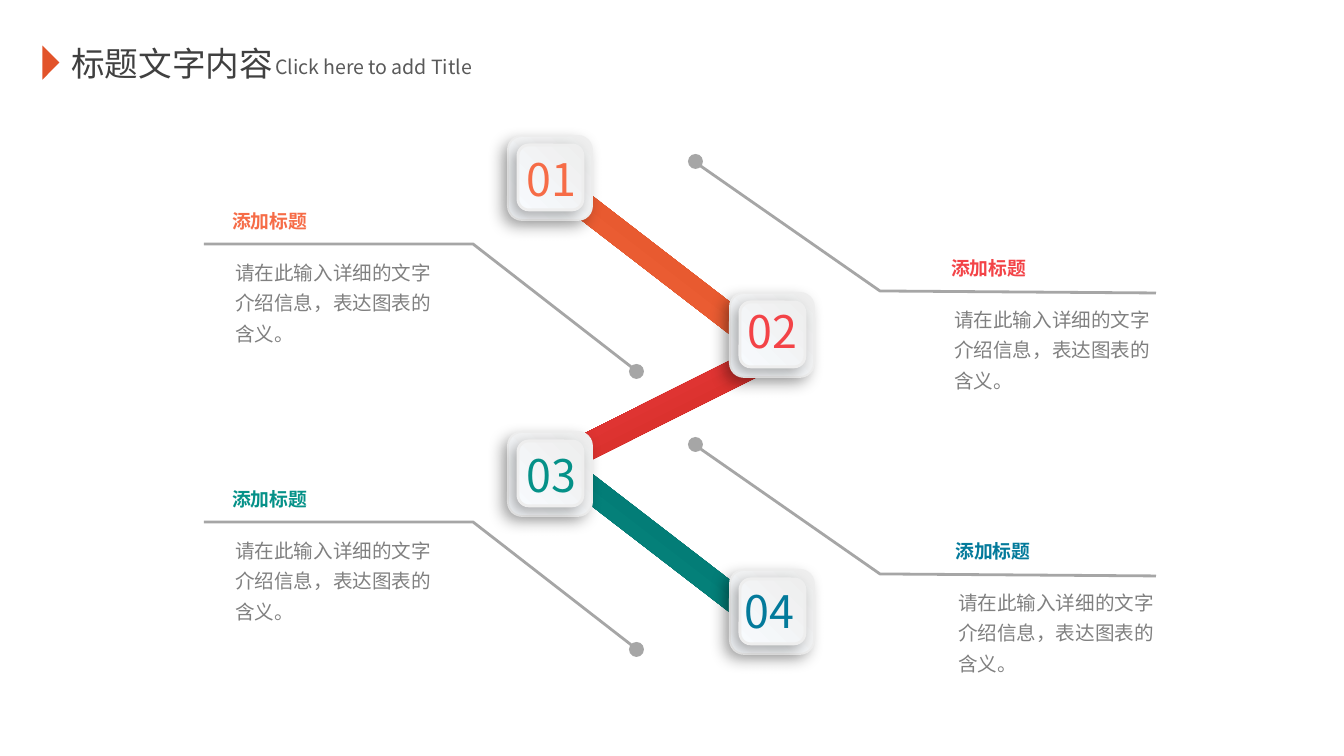
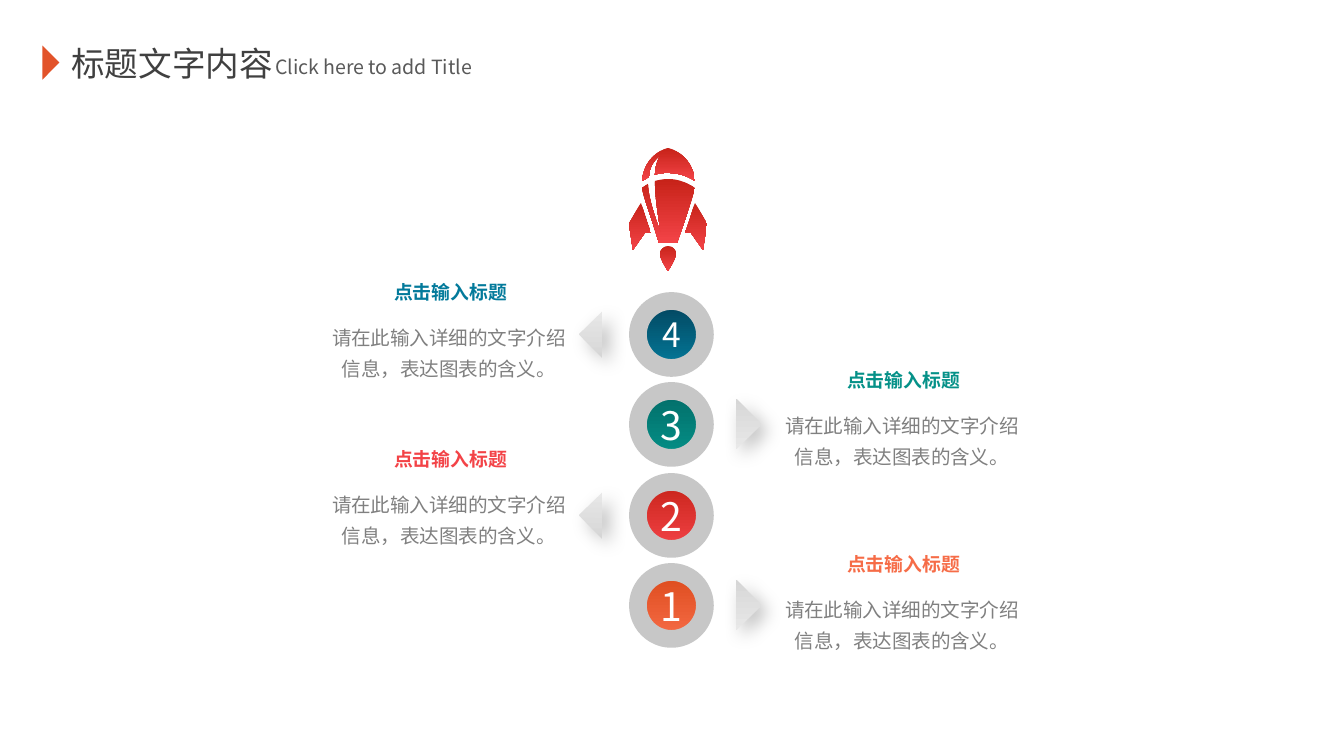
from lxml.etree import SubElement
from pptx import Presentation
from pptx.dml.color import RGBColor
from pptx.enum.shapes import MSO_SHAPE as Preset
from pptx.enum.text import MSO_ANCHOR as Anchor, MSO_AUTO_SIZE as AutoSize, PP_ALIGN as Align
from pptx.oxml.ns import qn
from pptx.util import Pt

PX = 914400 / 134.4
FONT = "Noto Sans CJK SC"

ACCENT = RGBColor(0xE2, 0x53, 0x2A)
TITLE_GREY = RGBColor(0x40, 0x40, 0x40)
SUBTITLE_GREY = RGBColor(0x59, 0x59, 0x59)
BODY_GREY = RGBColor(0x80, 0x80, 0x80)
LEADER_GREY = RGBColor(0xA6, 0xA6, 0xA6)
RING_GREY = RGBColor(0xC7, 0xC7, 0xC7)
TILE_EDGE = RGBColor(0xEE, 0xEE, 0xEE)
WHITE = RGBColor(0xFF, 0xFF, 0xFF)
ORANGE = RGBColor(0xF6, 0x6C, 0x47)
RED = RGBColor(0xF3, 0x43, 0x47)
TEAL = RGBColor(0x05, 0x91, 0x88)
BLUE = RGBColor(0x03, 0x7A, 0x9B)
ORANGE_FADE = (RGBColor(0xDC, 0x4A, 0x1B), ORANGE)
RED_FADE = (RGBColor(0xC7, 0x23, 0x19), RED)
TEAL_FADE = (RGBColor(0x02, 0x6C, 0x68), TEAL)
BLUE_FADE = (RGBColor(0x03, 0x43, 0x5C), BLUE)
TILE_FADE = (TILE_EDGE, RGBColor(0xF7, 0xFA, 0xFD))
POINTER_FADE = (RGBColor(0xE8, 0xE8, 0xE8), RGBColor(0xD6, 0xD6, 0xD6))

DETAIL = "请在此输入详细的文字介绍信息，表达图表的含义。"
HEADING = {"size": Pt(10.1), "bold": True}
BODY = {"size": Pt(10.5)}

FIN = [(0, 76), (4, 102), (16, 85), (22, 85), (17, 72, 15, 63, 12, 55)]
FLAME = [(39, 98), (35, 98, 31, 102, 31, 106), (31, 111, 39, 123, 39, 123),
         (39, 123, 47, 111, 47, 106), (47, 102, 44, 98, 39, 98)]
HULL = [(39, 31), (35, 31, 30, 32, 26, 33), (26, 51, 30, 72, 32, 87),
        (30, 78, 20, 56, 19, 36), (17, 37, 15, 39, 13, 40),
        (15, 51, 23, 71, 30, 95), (48, 95), (55, 76, 63, 51, 66, 40),
        (58, 35, 50, 31, 39, 31)]
NOSE = [(31, 8), (28, 13, 26, 20, 26, 27), (30, 25, 35, 25, 39, 25),
        (50, 25, 58, 28, 66, 33), (63, 5, 39, 0, 39, 0), (39, 0, 16, 5, 13, 33),
        (15, 32, 17, 31, 20, 29), (20, 21, 24, 13, 31, 8)]


def emu(*pixels):
    """Turn pixel lengths into EMU."""
    return [round(value * PX) for value in pixels]


def apply(target, values):
    """Set each attribute in the dict on the target."""
    for name, value in values.items():
        setattr(target, name, value)


def paint(shape, fill=None, angle=90, line=None, width=1):
    """Give a shape a solid, two-colour or empty fill, and its outline."""
    shape.shadow.inherit = False
    if fill is None:
        shape.fill.background()
    elif isinstance(fill, RGBColor):
        shape.fill.solid()
        shape.fill.fore_color.rgb = fill
    else:
        shape.fill.gradient()
        shape.fill.gradient_angle = 360 - angle
        for stop, color, position in zip(shape.fill.gradient_stops, fill, (0, 1)):
            stop.color.rgb = color
            stop.position = position
    if line is None:
        shape.line.fill.background()
    else:
        shape.line.color.rgb = line
        shape.line.width = Pt(width)


def cast_shadow(shape, opacity, blur, distance, direction):
    """Add a soft black outer shadow."""
    effects = shape._element.spPr.find(qn("a:effectLst"))
    outer = SubElement(effects, qn("a:outerShdw"), {
        "blurRad": str(Pt(blur)), "dist": str(Pt(distance)),
        "dir": str(direction * 60000), "algn": "ctr", "rotWithShape": "0"})
    black = SubElement(outer, qn("a:srgbClr"), {"val": "000000"})
    SubElement(black, qn("a:alpha"), {"val": str(opacity * 1000)})


def add_preset(shapes, preset, box, rotation=0, **look):
    """Add a painted preset shape in a pixel box."""
    shape = shapes.add_shape(preset, *emu(*box))
    shape.rotation = rotation
    paint(shape, **look)
    return shape


def write(frame, text, color, font, paragraph=None, **layout):
    """Fill a text frame with one formatted paragraph."""
    apply(frame, {"word_wrap": True, **layout})
    line = frame.paragraphs[0]
    apply(line, paragraph or {})
    run = line.add_run()
    run.text = text
    apply(run.font, {"name": FONT, **font})
    run.font.color.rgb = color
    SubElement(run._r.get_or_add_rPr(), qn("a:ea"), {"typeface": FONT})


def add_text(shapes, box, text, color, font, paragraph=None, **layout):
    """Add a text box that grows with its text."""
    frame = shapes.add_textbox(*emu(*box)).text_frame
    write(frame, text, color, font, paragraph,
          **{"auto_size": AutoSize.SHAPE_TO_FIT_TEXT, **layout})


def add_outline(shapes, left, top, steps, closed, **look):
    """Draw lines (x, y) and cubic curves (six numbers) as one outline."""
    ends = [step[-2:] for step in steps]
    builder = shapes.build_freeform(*ends[0], scale=PX)
    builder.add_line_segments(ends[1:], close=False)
    outline = builder.convert_to_shape(*emu(left, top))
    min_x, min_y = (min(values) for values in zip(*ends))
    drawn = next(outline._element.iter(qn("a:path")))
    for segment, step in zip(list(drawn), steps):
        if len(step) == 6:
            curve = SubElement(drawn, qn("a:cubicBezTo"))
            for x, y in zip(step[::2], step[1::2]):
                SubElement(curve, qn("a:pt"), {"x": str(x - min_x), "y": str(y - min_y)})
            drawn.replace(segment, curve)
    if closed:
        SubElement(drawn, qn("a:close"))
    paint(outline, **look)


def add_title(slide, left, top):
    """Place the page title with its marker and subtitle."""
    shapes = slide.shapes.add_group_shape().shapes
    add_text(shapes, (left + 23, top, 241, 54), "标题文字内容 ", TITLE_GREY,
             {"size": Pt(18)}, word_wrap=False)
    add_preset(shapes, Preset.ISOSCELES_TRIANGLE, (left - 1, top + 18, 34, 17), 90, fill=ACCENT)
    add_text(shapes, (left + 227, top + 12, 228, 38), "Click here to add Title",
             SUBTITLE_GREY, {"size": Pt(10.5)}, word_wrap=False)


def add_bar(slide, center_x, center_y, length, thickness, rotation, fade):
    """Place a slanted bar between two tiles."""
    box = (center_x - length / 2, center_y - thickness / 2, length, thickness)
    add_preset(slide.shapes, Preset.RECTANGLE, box, rotation, fill=fade)


def add_tile(slide, left, top, number, color, number_box):
    """Place a raised double tile with its number."""
    shapes = slide.shapes.add_group_shape().shapes
    for inset_x, inset_y, size, width in ((0, 0, 84, 1), (10, 9, 65, 1.5)):
        tile = add_preset(shapes, Preset.ROUNDED_RECTANGLE,
                          (left + inset_x, top + inset_y, size, size),
                          fill=TILE_FADE, angle=135, line=TILE_EDGE, width=width)
        cast_shadow(tile, 30, 8, 4, 135)
    shift_x, shift_y, width = number_box
    add_text(shapes, (left + shift_x, top + shift_y, width, 67), number, color,
             {"size": Pt(24)})


def add_callout(slide, left, top, leader, dot, text, color):
    """Place a leader line with its dot, heading and detail."""
    shapes = slide.shapes.add_group_shape().shapes
    add_outline(shapes, left, top, leader, False, line=LEADER_GREY, width=1.5)
    add_preset(shapes, Preset.OVAL, (left + dot[0], top + dot[1], 15, 15), fill=LEADER_GREY)
    text_left, text_top = left + text[0], top + text[1]
    add_text(slide.shapes, (text_left, text_top, 103, 36), "添加标题", color, HEADING,
             word_wrap=False)
    add_text(slide.shapes, (text_left + 3, text_top + 44, 222, 106), DETAIL, BODY_GREY, BODY,
             {"alignment": Align.JUSTIFY, "line_spacing": 1.3})


def add_rocket(slide, left, top):
    """Place the rocket with mirrored fins."""
    shapes = slide.shapes.add_group_shape().shapes
    mirrored = [tuple(78 - value if place % 2 == 0 else value
                      for place, value in enumerate(step)) for step in FIN]
    for part in (FIN, mirrored, FLAME, HULL, NOSE):
        add_outline(shapes, left, top, part, True, fill=RED_FADE)


def add_pointer(slide, left, top, size, rotation):
    """Place a grey pointer beside a ring."""
    pointer = add_preset(slide.shapes, Preset.RIGHT_TRIANGLE, (left, top, size, size),
                         rotation, fill=POINTER_FADE, angle=45)
    cast_shadow(pointer, 25, 10, 5, 45)


def add_ring(slide, left, top, number, fade, size):
    """Place a numbered disc with a wide grey ring."""
    ring = add_preset(slide.shapes, Preset.OVAL, (left, top, 67, 67),
                      fill=fade, line=RING_GREY, width=9.5)
    write(ring.text_frame, number, WHITE, {"size": Pt(size)}, {"alignment": Align.CENTER},
          margin_left=0, margin_right=0, margin_top=0, margin_bottom=0,
          word_wrap=False, vertical_anchor=Anchor.MIDDLE)


def add_stage_text(slide, left, top, color):
    """Place a centred heading over its detail."""
    shapes = slide.shapes.add_group_shape().shapes
    add_text(shapes, (left + 66, top, 141, 36), "点击输入标题", color, HEADING,
             {"alignment": Align.CENTER}, word_wrap=False)
    add_text(shapes, (left, top + 39, 270, 73), DETAIL, BODY_GREY, BODY,
             {"alignment": Align.CENTER, "line_spacing": 1.3},
             vertical_anchor=Anchor.MIDDLE)


def build_zigzag(slide):
    """Build the slide with four tiles on a zigzag."""
    add_title(slide, 35, 36)
    add_bar(slide, 667, 407, 247, 27, 153.4, RED_FADE)
    add_bar(slide, 653, 537, 280, 26, 37.6, TEAL_FADE)
    add_bar(slide, 653, 259, 280, 26, 37.6, ORANGE_FADE)
    for left, top, number, color, number_box in (
            (508, 136, "01", ORANGE, (5, 9, 99)), (730, 293, "02", RED, (4, 4, 89)),
            (508, 432, "03", TEAL, (5, 9, 103)), (730, 570, "04", BLUE, (1, 7, 85))):
        add_tile(slide, left, top, number, color, number_box)
    for top, color in ((244, ORANGE), (522, TEAL)):
        add_callout(slide, 204, top, [(435, 129), (269, 0), (0, 0)], (425, 120),
                    (15, -41), color)
    for top, color, text_left in ((160, RED, 246), (443, BLUE, 250)):
        add_callout(slide, 692, top, [(0, 0), (188, 131), (464, 133)], (-4, -6),
                    (text_left, 90), color)


def build_launch(slide):
    """Build the slide with a rocket over four stages."""
    add_title(slide, 35, 36)
    stages = (("4", BLUE_FADE, 18, 274), ("3", TEAL_FADE, 21, 362),
              ("2", RED_FADE, 21, 441), ("1", ORANGE_FADE, 21, 546))
    for place, (number, fade, size, text_top) in enumerate(stages):
        top = 301 + round(place * 90.4)
        if place % 2 == 0:
            add_pointer(slide, 586, top + 17, 33, 45.3)
        else:
            add_pointer(slide, 718, top + 15, 36, 225)
        add_ring(slide, 638, top, number, fade, size)
        add_stage_text(slide, (314, 767)[place % 2], text_top, fade[1])
    add_rocket(slide, 629, 148)


def main():
    """Build and save the presentation."""
    deck = Presentation()
    deck.slide_width, deck.slide_height = emu(1344, 756)
    for build in (build_zigzag, build_launch):
        build(deck.slides.add_slide(deck.slide_layouts[6]))
    deck.save("out.pptx")


main()
